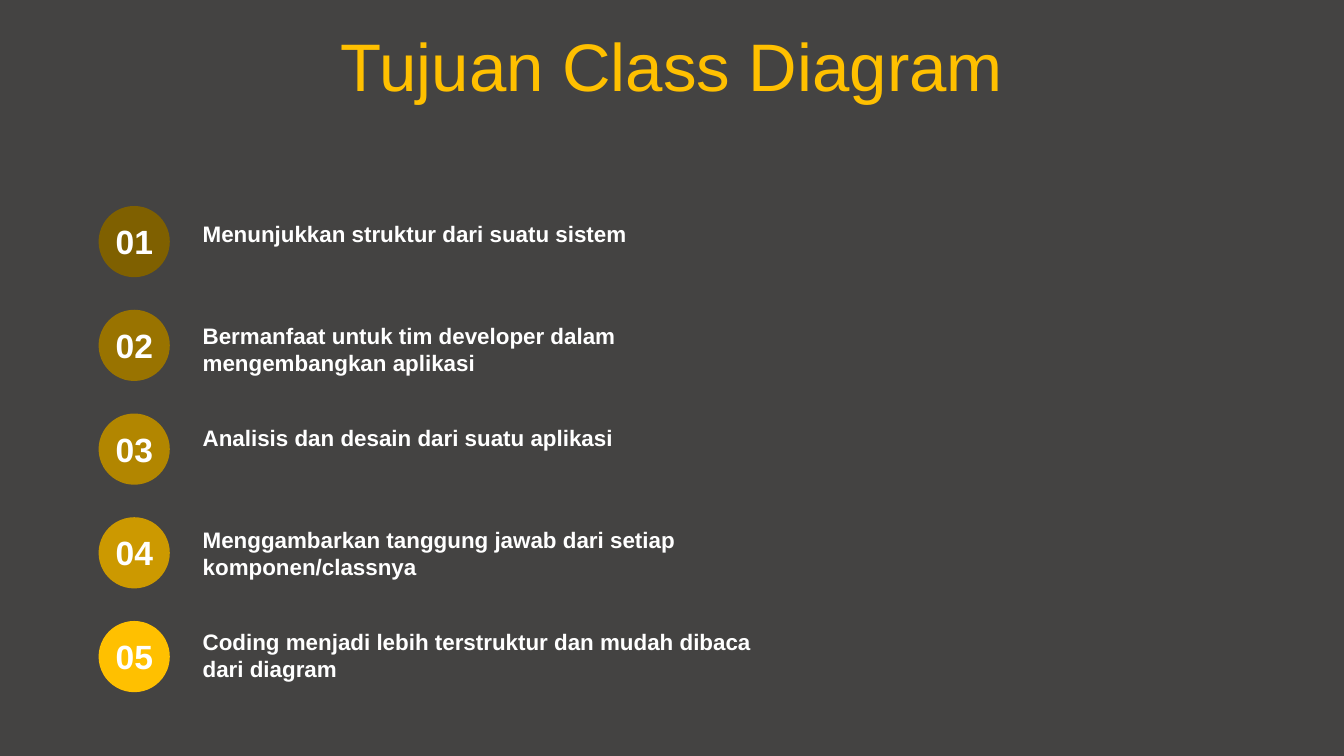
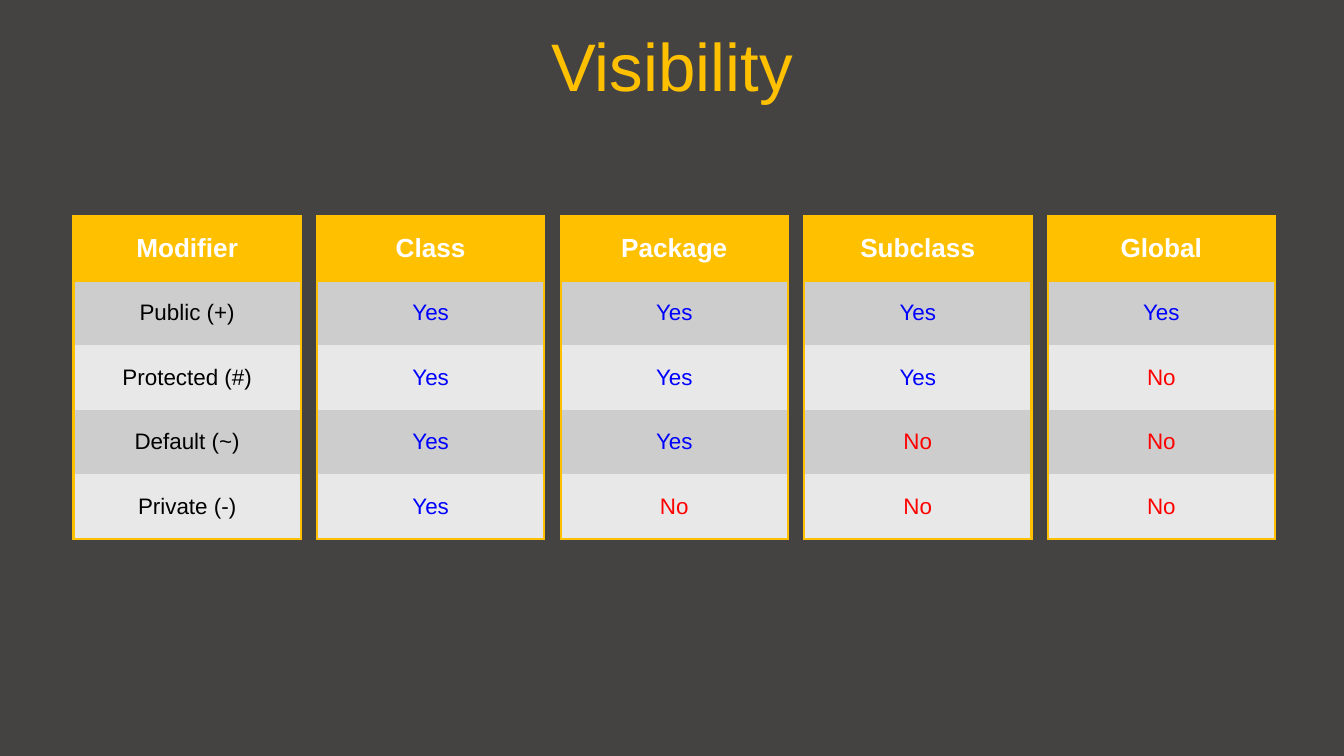
"""Build two slides on class diagrams: their purposes and the visibility modifiers."""
from dataclasses import dataclass

from lxml.etree import SubElement
from pptx import Presentation
from pptx.dml.color import RGBColor
from pptx.enum.shapes import MSO_SHAPE
from pptx.enum.text import MSO_ANCHOR, MSO_AUTO_SIZE, PP_ALIGN
from pptx.oxml.ns import qn
from pptx.util import Inches, Pt


@dataclass(frozen=True)
class Theme:
    font: str = "Arial"
    background: str = "444342"
    accent: str = "FFC000"
    light: str = "FFFFFF"
    dark: str = "000000"
    bands: tuple = ("CDCDCD", "E8E8E8")
    steps: tuple = ("7F6000", "997300", "B28600", "CC9900", "FFC000")
    answers: tuple = (("Yes", "0000FF"), ("No", "FF0000"))
    title: int = 36
    number: int = 18
    header: int = 14
    body: int = 12
    border: float = 1.5


THEME = Theme()
UNIT = Inches(0.1)

PURPOSES = (
    "Menunjukkan struktur dari suatu sistem",
    "Bermanfaat untuk tim developer dalam mengembangkan aplikasi",
    "Analisis dan desain dari suatu aplikasi",
    "Menggambarkan tanggung jawab dari setiap komponen/classnya",
    "Coding menjadi lebih terstruktur dan mudah dibaca dari diagram",
)
VISIBILITY = {
    "Modifier": ("Public (+)", "Protected (#)", "Default (~)", "Private (-)"),
    "Class": ("Yes", "Yes", "Yes", "Yes"),
    "Package": ("Yes", "Yes", "Yes", "No"),
    "Subclass": ("Yes", "Yes", "No", "No"),
    "Global": ("Yes", "No", "No", "No"),
}


def grid(*units):
    return [round(u * UNIT) for u in units]


def rgb(color):
    return RGBColor.from_string(color)


def write(tf, text, size=THEME.body, color=THEME.light, bold=False, align=PP_ALIGN.LEFT):
    p = tf.paragraphs[0]
    p.alignment = align
    r = p.add_run()
    r.text = text
    r.font.name = THEME.font
    r.font.size = Pt(size)
    r.font.bold = bold
    r.font.color.rgb = rgb(color)


def border(cell, visible):
    tc_pr = cell._tc.get_or_add_tcPr()
    for side in "LRTB":
        ln = SubElement(tc_pr, qn(f"a:ln{side}"), w=str(Pt(THEME.border)))
        if side in visible:
            fill = SubElement(ln, qn("a:solidFill"))
            SubElement(fill, qn("a:srgbClr"), val=THEME.accent)
        else:
            SubElement(ln, qn("a:noFill"))


class Deck:
    def __init__(self, theme):
        self.theme = theme
        self.prs = Presentation()
        self.prs.slide_width, self.prs.slide_height = grid(100, 56.25)
        fill = self.prs.slide_master.background.fill
        fill.solid()
        fill.fore_color.rgb = rgb(theme.background)

    def slide(self, title):
        self.s = self.prs.slides.add_slide(self.prs.slide_layouts[5])
        sp = self.s.shapes.title
        sp.left, sp.top, sp.width, sp.height = grid(0, 1.65, 100, 6.3)
        tf = sp.text_frame
        tf.auto_size = MSO_AUTO_SIZE.NONE
        tf.vertical_anchor = MSO_ANCHOR.MIDDLE
        write(tf, title, self.theme.title, self.theme.accent, align=PP_ALIGN.CENTER)

    def text(self, box, text, **style):
        tf = self.s.shapes.add_textbox(*grid(*box)).text_frame
        tf.word_wrap = True
        tf.auto_size = MSO_AUTO_SIZE.SHAPE_TO_FIT_TEXT
        write(tf, text, **style)

    def disc(self, box, color):
        sp = self.s.shapes.add_shape(MSO_SHAPE.OVAL, *grid(*box))
        sp.shadow.inherit = False
        sp.fill.solid()
        sp.fill.fore_color.rgb = rgb(color)
        sp.line.fill.background()

    def column_table(self, box, header, values):
        th = self.theme
        colors = dict(th.answers)
        table = self.s.shapes.add_table(len(values) + 1, 1, *grid(*box)).table
        table.horz_banding = False
        for i, text in enumerate((header, *values)):
            cell = table.cell(i, 0)
            cell.vertical_anchor = MSO_ANCHOR.MIDDLE
            top = "T" if i < 2 else ""
            bottom = "B" if i in (0, len(values)) else ""
            border(cell, "LR" + top + bottom)
            cell.fill.solid()
            cell.fill.fore_color.rgb = rgb(th.bands[(i - 1) % 2] if i else th.accent)
            write(cell.text_frame, text,
                  size=th.body if i else th.header,
                  color=colors.get(text, th.dark) if i else th.light,
                  bold=i == 0, align=PP_ALIGN.CENTER)


def purposes_slide(deck):
    deck.slide("Tujuan Class Diagram")
    for i, (purpose, color) in enumerate(zip(PURPOSES, deck.theme.steps)):
        shift = 7.72 * i
        deck.disc((7.34, 15.33 + shift, 5.3, 5.3), color)
        deck.text((7, 15.95 + shift, 6, 4), f"{i + 1:02}",
                  size=deck.theme.number, bold=True, align=PP_ALIGN.CENTER)
        lines = 2 if len(purpose) > 45 else 1
        deck.text((14.1, 15.9 + 7.59 * i, 45.3, 1 + 2 * lines), purpose, bold=True)


def visibility_slide(deck):
    deck.slide("Visibility")
    for i, (header, values) in enumerate(VISIBILITY.items()):
        deck.column_table((5.48 + 18.12 * i, 16.1, 16.9, 24), header, values)


def main():
    deck = Deck(THEME)
    purposes_slide(deck)
    visibility_slide(deck)
    deck.prs.save("out.pptx")


if __name__ == "__main__":
    main()
